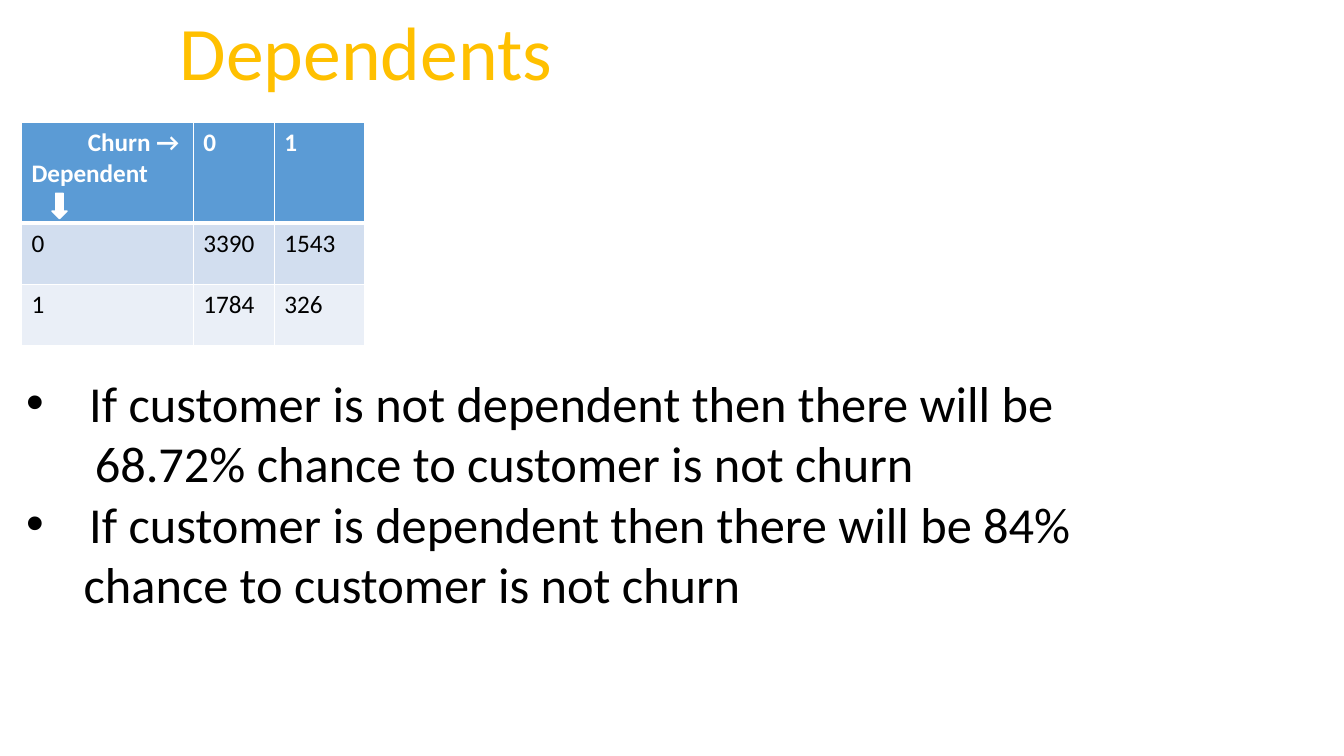
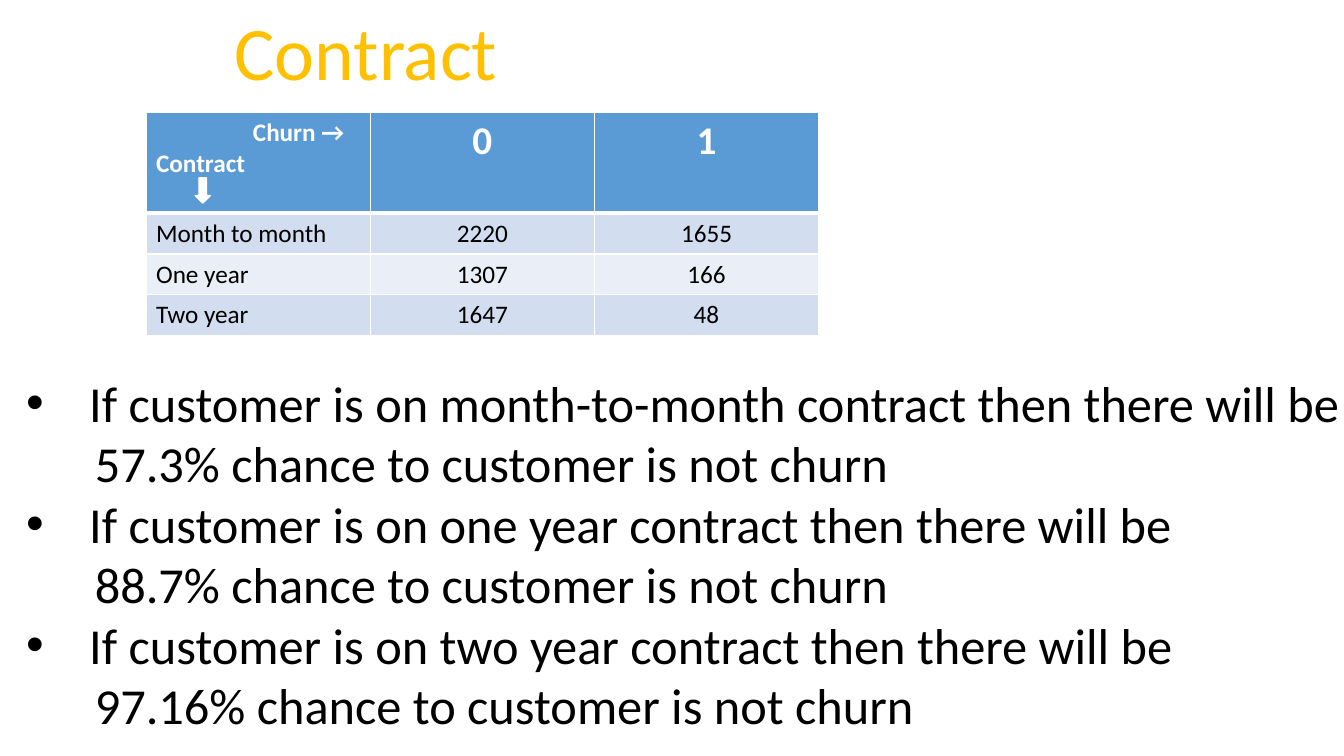
from lxml import etree
from pptx import Presentation
from pptx.dml.color import RGBColor
from pptx.enum import shapes, text
from pptx.oxml.ns import qn
from pptx.util import Cm, Pt

C = {"title": "FFC000", "head": "5B9BD5", "band1": "D2DEEF", "band2": "EAEFF7",
     "white": "FFFFFF", "black": "000000"}
FONT = "Calibri"
LEFT, CENTER = text.PP_ALIGN.LEFT, text.PP_ALIGN.CENTER


def write(tf, string, size=18, color="black", bold=False, align=LEFT, indent=0, bullet=False):
    p = tf.paragraphs[0] if not tf.text else tf.add_paragraph()
    p.alignment = align
    r = p.add_run()
    r.text = string
    r.font.name, r.font.size, r.font.bold = FONT, Pt(size), bold
    r.font.color.rgb = RGBColor.from_string(C[color])
    pPr = p._p.get_or_add_pPr()
    pPr.set("marL", str(Cm(indent)))
    pPr.set("indent", str(-Cm(indent) if bullet else 0))
    if bullet:
        etree.SubElement(pPr, qn("a:buFont"), typeface="Arial")
        etree.SubElement(pPr, qn("a:buChar"), char="•")


def border(cell, bottom):
    tcPr = cell._tc.get_or_add_tcPr()
    for side, width in (("L", 1), ("R", 1), ("T", 1), ("B", bottom)):
        ln = etree.SubElement(tcPr, qn("a:ln" + side), w=str(Pt(width)))
        fill = etree.SubElement(ln, qn("a:solidFill"))
        etree.SubElement(fill, qn("a:srgbClr"), val=C["white"])


SLIDES = [
    {"title": "Dependents", "field": "Dependent", "at": (0.54, 3.08),
     "cols": (4.33, 2.04, 2.29), "row": 1.54, "churn_indent": 1.42,
     "count_size": 18, "count_align": LEFT, "arrow": (1.31, 4.87),
     "rows": [("0", "3390", "1543"), ("1", "1784", "326")],
     "box": (28.35, 6.4),
     "points": [
         ("If customer is not dependent then there will be",
          "68.72% chance to customer is not churn", 1.73),
         ("If customer is dependent then there will be 84%",
          "chance to customer is not churn", 1.45)]},
    {"title": "Contract", "field": "Contract", "at": (3.68, 2.83),
     "cols": (5.65, 5.65, 5.65), "row": 1.03, "churn_indent": 2.44,
     "count_size": 28, "count_align": CENTER, "arrow": (4.92, 4.48),
     "rows": [("Month to month", "2220", "1655"), ("One year", "1307", "166"),
              ("Two year", "1647", "48")],
     "box": (34.19, 11.02),
     "points": [
         ("If customer is on month-to-month contract then there will be",
          "57.3% chance to customer is not churn", 1.73),
         ("If customer is on one year contract then there will be",
          "88.7% chance to customer is not churn", 1.73),
         ("If customer is on two year contract then there will be",
          "97.16% chance to customer is not churn", 1.73)]},
]
HEAD_HEIGHT = 2.54

prs = Presentation()
prs.slide_width, prs.slide_height = Cm(33.87), Cm(19.05)

for d in SLIDES:
    s = prs.slides.add_slide(prs.slide_layouts[6])

    title = s.shapes.add_shape(shapes.MSO_SHAPE.RECTANGLE, Cm(0.93), 0, Cm(16.59), Cm(2.57))
    title.line.fill.background()
    title.text_frame.word_wrap = True
    title.text_frame.vertical_anchor = text.MSO_ANCHOR.TOP
    write(title.text_frame, d["title"], size=54, color="title", align=CENTER)

    heights = [HEAD_HEIGHT] + [d["row"]] * len(d["rows"])
    x, y = d["at"]
    table = s.shapes.add_table(len(heights), len(d["cols"]), Cm(x), Cm(y),
                               Cm(sum(d["cols"])), Cm(sum(heights))).table
    for column, width in zip(table.columns, d["cols"]):
        column.width = Cm(width)
    for row, height in zip(table.rows, heights):
        row.height = Cm(height)

    for i, values in enumerate([(d["field"], "0", "1")] + d["rows"]):
        head = i == 0
        for j, value in enumerate(values):
            cell = table.cell(i, j)
            border(cell, 3 if head else 1)
            cell.fill.solid()
            band = "head" if head else "band1" if i % 2 else "band2"
            cell.fill.fore_color.rgb = RGBColor.from_string(C[band])
            color = "white" if head else "black"
            if head and j == 0:
                write(cell.text_frame, "Churn →", color=color, bold=True,
                      indent=d["churn_indent"])
            write(cell.text_frame, value, color=color, bold=head,
                  size=d["count_size"] if head and j else 18,
                  align=d["count_align"] if j else LEFT)

    x, y = d["arrow"]
    arrow = s.shapes.add_shape(shapes.MSO_SHAPE.DOWN_ARROW, Cm(x), Cm(y), Cm(0.38), Cm(0.64))
    arrow.line.color.rgb = RGBColor.from_string(C["white"])
    arrow.line.width = Pt(1)
    for sp in (title, arrow):
        sp.shadow.inherit = False
        sp.fill.solid()
        sp.fill.fore_color.rgb = RGBColor.from_string(C["white"])

    width, height = d["box"]
    box = s.shapes.add_textbox(Cm(0.41), Cm(9.25), Cm(width), Cm(height))
    box.text_frame.word_wrap = True
    for condition, chance, indent in d["points"]:
        write(box.text_frame, condition, size=36, indent=1.59, bullet=True)
        write(box.text_frame, chance, size=36, indent=indent)

prs.save("out.pptx")
